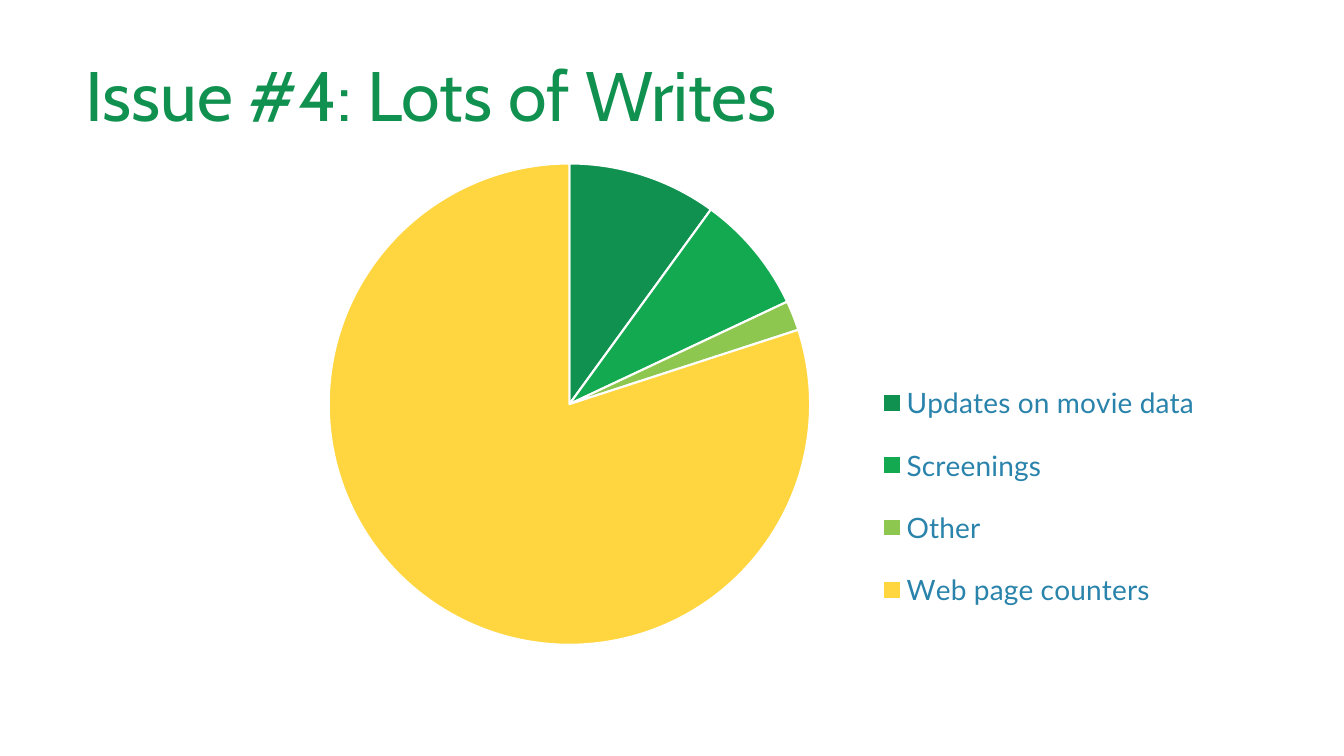
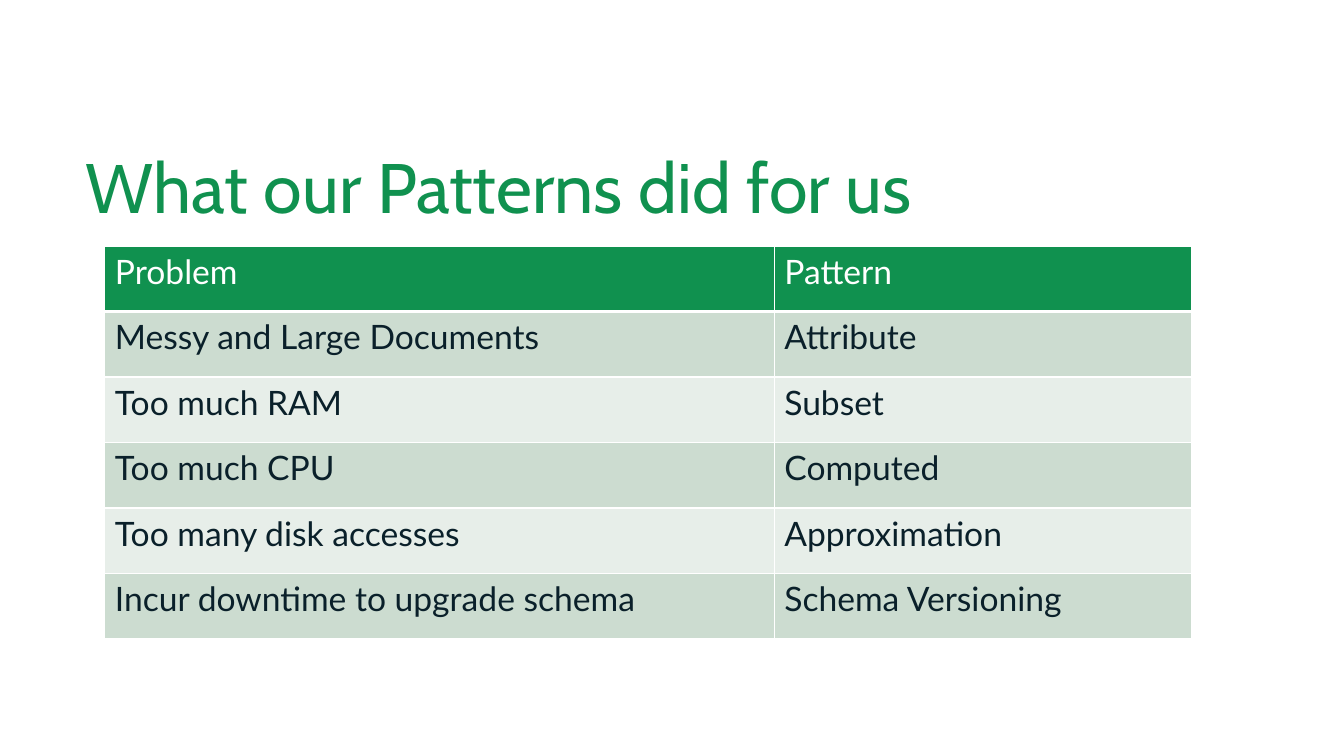
from lxml import etree
from pptx import Presentation
from pptx.chart.data import CategoryChartData
from pptx.dml.color import RGBColor
from pptx.enum.chart import XL_CHART_TYPE, XL_LEGEND_POSITION
from pptx.enum.text import MSO_ANCHOR
from pptx.oxml import parse_xml
from pptx.oxml.ns import nsdecls, qn
from pptx.util import Inches, Pt

PIE = XL_CHART_TYPE.PIE
LEGEND_RIGHT = XL_LEGEND_POSITION.RIGHT
BOTTOM = MSO_ANCHOR.BOTTOM

WHITE = RGBColor(0xFF, 0xFF, 0xFF)
INK = RGBColor(0x0A, 0x20, 0x2A)
BLUE = RGBColor(0x29, 0x83, 0xAB)
GREEN = RGBColor(0x10, 0x91, 0x4F)
MID_GREEN = RGBColor(0x13, 0xA9, 0x50)
LIME = RGBColor(0x8E, 0xC7, 0x4F)
YELLOW = RGBColor(0xFF, 0xD6, 0x40)
BAND_DARK = RGBColor(0xCC, 0xDC, 0xD0)
BAND_LIGHT = RGBColor(0xE7, 0xEE, 0xE9)


class Deck:
    title_font = "Cabin"
    body_font = "Lato"

    def __init__(self):
        self.prs = Presentation()
        self.prs.slide_width = Inches(13.33)
        self.prs.slide_height = Inches(7.5)
        self.s = None

    def style(self, font, size, color, name=body_font):
        font.name = name
        font.size = Pt(size)
        font.color.rgb = color

    def slide(self, title, top, height):
        self.s = self.prs.slides.add_slide(self.prs.slide_layouts[6])
        sp = self.s.shapes.add_textbox(Inches(0.75), Inches(top), Inches(11.89), Inches(height))
        tf = sp.text_frame
        tf.word_wrap = True
        tf.vertical_anchor = BOTTOM
        p = tf.paragraphs[0]
        p.text = title
        p.line_spacing = 1.21
        self.style(p.font, 50, GREEN, self.title_font)

    def layout(self, parent, x, y, w, h, inner=False):
        for old in parent.findall(qn("c:layout")):
            parent.remove(old)
        layout = parse_xml(f"<c:layout {nsdecls('c')}/>")
        manual = etree.SubElement(layout, qn("c:manualLayout"))
        values = [("layoutTarget", "inner")] if inner else []
        values += [("xMode", "edge"), ("yMode", "edge"), ("x", x), ("y", y), ("w", w), ("h", h)]
        for tag, value in values:
            etree.SubElement(manual, qn(f"c:{tag}")).set("val", str(value))
        return layout

    def pie(self, left, top, width, height, name, slices):
        data = CategoryChartData()
        data.categories = [label for label, _, _ in slices]
        data.add_series(name, [value for _, value, _ in slices])
        chart = self.s.shapes.add_chart(
            PIE, Inches(left), Inches(top), Inches(width), Inches(height), data).chart
        chart.has_title = False
        self.style(chart.font, 10, INK, "Arial")
        plot = chart.plots[0]
        plot.vary_by_categories = True
        for i, (_, _, color) in enumerate(slices):
            fmt = plot.series[0].points[i].format
            fmt.fill.solid()
            fmt.fill.fore_color.rgb = color
            fmt.line.color.rgb = WHITE
            fmt.line.width = Pt(1.5)
        chart.has_legend = True
        legend = chart.legend
        legend.position = LEGEND_RIGHT
        legend.include_in_layout = False
        self.style(legend.font, 20, BLUE)
        area = chart.element.find(f".//{qn('c:plotArea')}")
        area.insert(0, self.layout(area, 0.07, 0.03, 0.51, 0.94, inner=True))
        box = chart.element.find(f".//{qn('c:legend')}")
        box.find(qn("c:legendPos")).addnext(self.layout(box, 0.65, 0.41, 0.34, 0.54))

    def border(self, cell, side, width):
        props = cell._tc.get_or_add_tcPr()
        props.append(parse_xml(
            f'<a:{side} {nsdecls("a")} w="{Pt(width)}"><a:solidFill>'
            f'<a:srgbClr val="{WHITE}"/></a:solidFill></a:{side}>'))

    def table(self, left, top, widths, row_height, rows):
        table = self.s.shapes.add_table(
            len(rows), len(widths), Inches(left), Inches(top),
            Inches(sum(widths)), Inches(row_height * len(rows))).table
        for column, width in zip(table.columns, widths):
            column.width = Inches(width)
        for i, texts in enumerate(rows):
            table.rows[i].height = Inches(row_height)
            fill = GREEN if i == 0 else BAND_DARK if i % 2 else BAND_LIGHT
            for j, text in enumerate(texts):
                cell = table.cell(i, j)
                for side in ("lnL", "lnR", "lnT", "lnB"):
                    self.border(cell, side, 3 if i == 0 and side == "lnB" else 1)
                cell.fill.solid()
                cell.fill.fore_color.rgb = fill
                p = cell.text_frame.paragraphs[0]
                p.text = text
                self.style(p.font, 24, INK if i else WHITE)
                p.font.bold = False


def main():
    deck = Deck()

    deck.slide("Issue #4: Lots of Writes", 0.5, 0.89)
    deck.pie(2.59, 1.47, 9.41, 5.08, "Series 1", [
        ("Updates on movie data", 10, GREEN),
        ("Screenings", 8, MID_GREEN),
        ("Other", 2, LIME),
        ("Web page counters", 80, YELLOW),
    ])

    deck.slide("What our Patterns did for us", 0.69, 1.62)
    deck.table(1.04, 2.44, [6.64, 4.14], 0.65, [
        ("Problem", "Pattern"),
        ("Messy and Large Documents", "Attribute"),
        ("Too much RAM", "Subset"),
        ("Too much CPU", "Computed"),
        ("Too many disk accesses", "Approximation"),
        ("Incur downtime to upgrade schema", "Schema Versioning"),
    ])

    deck.prs.save("out.pptx")


if __name__ == "__main__":
    main()
